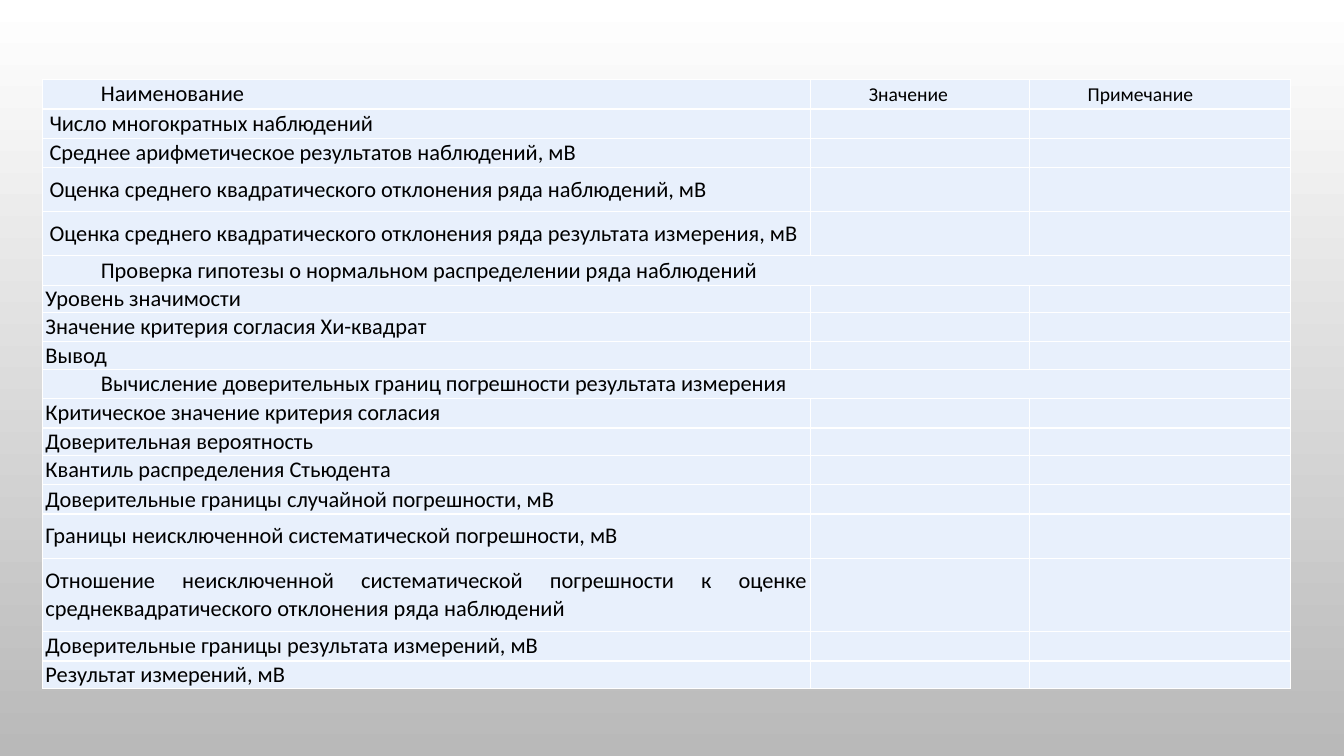
from lxml.etree import SubElement
from pptx import Presentation
from pptx.dml.color import RGBColor
from pptx.enum.text import MSO_ANCHOR, PP_ALIGN
from pptx.oxml.ns import qn
from pptx.util import Pt

FONT = "Calibri"
HEADING_INDENT, ITEM_INDENT = 39.6, 2.9
LOW, NORMAL, TALL, DOUBLE = 19.5, 20.95, 31.5, 52.5
COLUMN_WIDTHS = [548.6, 156.2, 186.5]

# Row height, first-line indent, cell texts; a single heading spans the row
HEADER = (NORMAL, HEADING_INDENT, ["Наименование", "Значение", "Примечание"])
ROWS = [
    HEADER,
    (NORMAL, ITEM_INDENT, ["Число многократных наблюдений"]),
    (NORMAL, ITEM_INDENT, ["Среднее арифметическое результатов наблюдений, мВ"]),
    (TALL, ITEM_INDENT, ["Оценка среднего квадратического отклонения ряда наблюдений, мВ"]),
    (TALL, ITEM_INDENT, ["Оценка среднего квадратического отклонения ряда результата измерения, мВ"]),
    (NORMAL, HEADING_INDENT, ["Проверка гипотезы о нормальном распределении ряда наблюдений"]),
    (LOW, 0, ["Уровень значимости"]),
    (NORMAL, 0, ["Значение критерия согласия Хи-квадрат"]),
    (LOW, 0, ["Вывод"]),
    (NORMAL, HEADING_INDENT, ["Вычисление доверительных границ погрешности результата измерения"]),
    (NORMAL, 0, ["Критическое значение критерия согласия"]),
    (LOW, 0, ["Доверительная вероятность"]),
    (NORMAL, 0, ["Квантиль распределения Стьюдента"]),
    (NORMAL, 0, ["Доверительные границы случайной погрешности, мВ"]),
    (TALL, 0, ["Границы неисключенной систематической погрешности, мВ"]),
    (DOUBLE, 0, ["Отношение неисключенной систематической погрешности к оценке "
                 "среднеквадратического отклонения ряда наблюдений"]),
    (NORMAL, 0, ["Доверительные границы результата измерений, мВ"]),
    (LOW, 0, ["Результат измерений, мВ"]),
]


def color(hex_string):
    return RGBColor.from_string(hex_string)


def paint_background(slide):
    fill = slide.background.fill
    fill.gradient()
    fill.gradient_angle = 270
    for stop, shade in zip(fill.gradient_stops, ["FFFFFF", "B9B9B9"]):
        stop.color.rgb = color(shade)


def add_borders(cell, shade):
    properties = cell._tc.get_or_add_tcPr()
    for side in ("a:lnL", "a:lnR", "a:lnT", "a:lnB"):
        line = SubElement(properties, qn(side), w=str(Pt(1)))
        SubElement(SubElement(line, qn("a:solidFill")), qn("a:srgbClr"), val=shade)


def fill_cell(cell, text, size, indent):
    add_borders(cell, "FFFFFF")
    cell.fill.solid()
    cell.fill.fore_color.rgb = color("E8F0FC")
    cell.vertical_anchor = MSO_ANCHOR.MIDDLE
    cell.margin_left = cell.margin_right = Pt(2.2)
    cell.margin_top = cell.margin_bottom = 0

    paragraph = cell.text_frame.paragraphs[0]
    if text:
        paragraph.text = text
        paragraph.alignment = PP_ALIGN.JUSTIFY
        paragraph.font.name = FONT
        paragraph.font.size = Pt(size)
        paragraph.font.color.rgb = color("000000")
        paragraph._p.get_or_add_pPr().set("indent", str(Pt(indent)))
    else:
        # An empty cell must not stretch its row
        SubElement(paragraph._p, qn("a:endParaRPr"), sz=str(size * 100))


def add_results_table(slide, left, top, width):
    height = sum(row[0] for row in ROWS)
    table = slide.shapes.add_table(len(ROWS), len(COLUMN_WIDTHS), Pt(left), Pt(top),
                                   Pt(width), Pt(height)).table
    table.first_row = table.horz_banding = False
    for column, share in zip(table.columns, COLUMN_WIDTHS):
        column.width = Pt(width * share / sum(COLUMN_WIDTHS))

    for row_index, (row_height, indent, texts) in enumerate(ROWS):
        row = table.rows[row_index]
        row.height = Pt(row_height)
        for column_index, cell in enumerate(row.cells):
            text = texts[column_index] if column_index < len(texts) else ""
            fill_cell(cell, text, 14 if column_index else 16, indent)
        # Section headings run across the whole table
        if indent == HEADING_INDENT and len(texts) == 1:
            last_column = len(COLUMN_WIDTHS) - 1
            table.cell(row_index, 0).merge(table.cell(row_index, last_column))


def main():
    presentation = Presentation()
    presentation.slide_width, presentation.slide_height = Pt(960), Pt(540)
    slide = presentation.slides.add_slide(presentation.slide_layouts[6])
    paint_background(slide)
    add_results_table(slide, 30.3, 56.9, 891.3)
    presentation.save("out.pptx")


if __name__ == "__main__":
    main()
